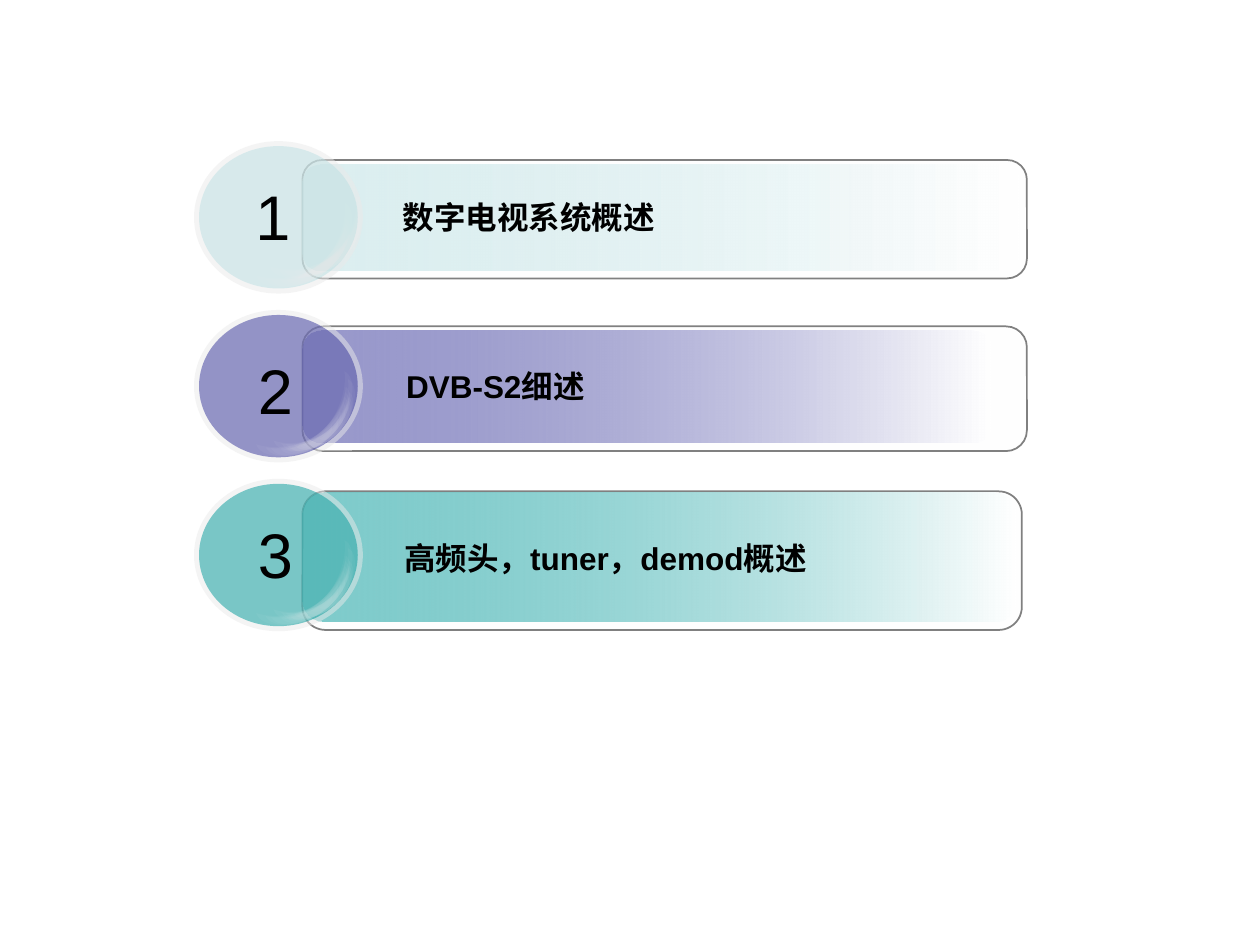
from math import cos, radians, sin

from lxml import etree
from pptx import Presentation
from pptx.dml.color import RGBColor
from pptx.enum import shapes, text
from pptx.oxml import ns
from pptx.util import Inches, Pt

ST = shapes.MSO_SHAPE
rgb = RGBColor.from_string


def add(kind, x, y, w, h, fill, alpha=100, fade_to=None, line=None, angle=0):
    sp = s.shapes.add_shape(kind, Inches(x), Inches(y), Inches(w), Inches(h))
    sp.shadow.inherit = False
    sp.rotation = angle
    if fade_to:
        sp.fill.gradient()
        sp.fill.gradient_angle = 0
        start, end = sp.fill.gradient_stops
        start.position, end.position = 0, 1
        start.color.rgb, end.color.rgb = rgb(fill), rgb(fade_to)
    else:
        sp.fill.solid()
        sp.fill.fore_color.rgb = rgb(fill)
    if alpha < 100:
        clr = next(sp._element.spPr.iter(ns.qn("a:srgbClr")))
        etree.SubElement(clr, ns.qn("a:alpha")).set("val", str(alpha * 1000))
    if line:
        sp.line.color.rgb = rgb(line)
        sp.line.width = Pt(1)
    else:
        sp.line.fill.background()
    return sp


def write(sp, content, size=18, bold=True, align=text.PP_ALIGN.LEFT, wrap=True):
    tf = sp.text_frame
    tf.word_wrap = wrap
    p = tf.paragraphs[0]
    p.alignment = align
    r = p.add_run()
    r.text = content
    r.font.name = "Arial"
    r.font.size = Pt(size)
    r.font.bold = bold
    r.font.color.rgb = rgb("000000")


prs = Presentation()
prs.slide_width, prs.slide_height = Inches(10), Inches(7.5)
s = prs.slides.add_slide(prs.slide_layouts[6])

mint, indigo, teal = "BBE0E3", "333399", "009999"
bar_left = 2.4

bars = [
    dict(color=teal, frame=(3.9, 5.71, 1.1), band=(3.91, 5.67, 1.02)),
    dict(color=indigo, frame=(2.59, 5.75, 0.99), band=(2.62, 5.47, 0.89)),
    dict(color=mint, frame=(1.27, 5.75, 0.94), band=(1.31, 5.69, 0.84)),
]
bands = {}
for bar in bars:
    add(ST.ROUNDED_RECTANGLE, bar_left, *bar["frame"], "FEFEFE", line="808080")
    bands[bar["color"]] = add(ST.ROUNDED_RECTANGLE, bar_left, *bar["band"], bar["color"],
                              alpha=50, fade_to="FFFFFF")

halo_left, halo_top, halo_w, halo_h = 1.54, 1.12, 1.34, 1.21
disc_pitch, rim = 1.34, 0.04

moon_angles = [25.5, 39.1, 44, 48.1, 52.9, 61.6, 66.6, 75.4]
inner_arc = dict(center=(0.69, 0.59), radius=0.49, moon=(0.16, 0.62))
outer_arc = dict(center=(0.8, 0.64), radius=0.41, moon=(0.14, 0.53))
wide_arc = dict(center=(0.8, 0.54), radius=0.47, moon=(0.16, 0.61))

discs = [
    ("1", mint, wide_arc, (1.77, 1.36, 0.79, 0.7)),
    ("2", indigo, outer_arc, (1.77, 2.74, 0.83, 0.7)),
    ("3", teal, outer_arc, (1.81, 4.04, 0.75, 0.7)),
]
for row, (number, color, second_arc, number_box) in enumerate(discs):
    top = halo_top + row * disc_pitch
    add(ST.OVAL, halo_left, top, halo_w, halo_h, "EAEAEA", alpha=50)
    add(ST.OVAL, halo_left + rim, top + rim, halo_w - 2 * rim, halo_h - 2 * rim, color, alpha=50)

    for arc in (inner_arc, second_arc):
        cx, cy = arc["center"]
        w, h = arc["moon"]
        for angle in moon_angles:
            x = halo_left + cx + arc["radius"] * cos(radians(angle)) - w / 2
            y = top + cy + arc["radius"] * sin(radians(angle)) - h / 2
            add(ST.MOON, x, y, w, h, "FFFFFF", alpha=4, angle=angle + 180)

    sp = s.shapes.add_textbox(*map(Inches, number_box))
    write(sp, number, size=36, bold=False, align=text.PP_ALIGN.CENTER)

bands[indigo].text_frame.margin_left = Inches(0.78)
write(bands[indigo], "DVB-S2细述", wrap=False)

titles = [
    ("数字电视系统概述", (3.1, 1.52, 4.34, 0.4)),
    ("高频头，tuner，demod概述", (3.11, 4.23, 4.17, 0.86)),
]
for title, box in titles:
    write(s.shapes.add_textbox(*map(Inches, box)), title)

prs.save("out.pptx")
